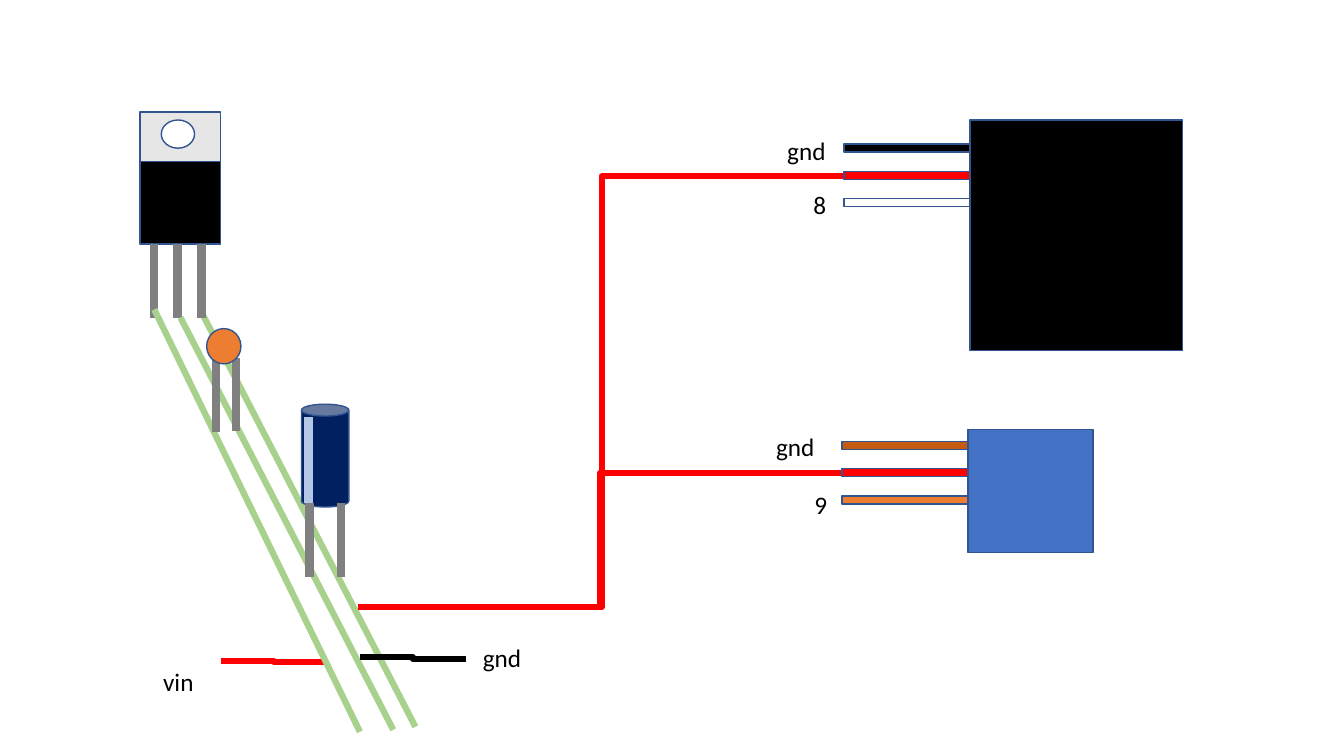
from lxml.etree import SubElement
from pptx import Presentation
from pptx.dml.color import RGBColor
from pptx.enum.shapes import MSO_CONNECTOR as Connector, MSO_SHAPE as Preset
from pptx.enum.text import MSO_AUTO_SIZE as AutoSize
from pptx.oxml.ns import qn
from pptx.util import Inches, Pt

BLACK = RGBColor(0x00, 0x00, 0x00)
WHITE = RGBColor(0xFF, 0xFF, 0xFF)
RED = RGBColor(0xFF, 0x00, 0x00)
ORANGE = RGBColor(0xED, 0x7D, 0x31)
BROWN = RGBColor(0xC5, 0x5A, 0x11)
BLUE = RGBColor(0x44, 0x72, 0xC4)
NAVY = RGBColor(0x00, 0x20, 0x60)
PALE_BLUE = RGBColor(0xB4, 0xC7, 0xE7)
OUTLINE = RGBColor(0x32, 0x54, 0x91)
METAL = RGBColor(0xE7, 0xE6, 0xE6)
GRAY = RGBColor(0x80, 0x80, 0x80)
GREEN = RGBColor(0xA9, 0xD1, 0x8E)

LEAD_LENGTH = 0.73
PIN_WIDTH, PIN_HEIGHT = 1.25, 0.08


class CircuitSlide:
    font_format = {"name": "Calibri", "size": Pt(18)}
    frame_format = {"word_wrap": True, "auto_size": AutoSize.SHAPE_TO_FIT_TEXT}
    wire_width = Pt(4.5)
    lead_width = Pt(6)
    outline_width = Pt(1)

    def __init__(self, presentation):
        self.slide = presentation.slides.add_slide(presentation.slide_layouts[6])
        self.shapes = self.slide.shapes

    def start_group(self):
        self.shapes = self.slide.shapes.add_group_shape().shapes

    def end_group(self):
        self.shapes = self.slide.shapes

    def apply(self, target, values):
        for name, value in values.items():
            setattr(target, name, value)

    def body(self, preset, left, top, width, height, color):
        shape = self.shapes.add_shape(
            preset, Inches(left), Inches(top), Inches(width), Inches(height))
        shape.shadow.inherit = False
        shape.fill.solid()
        shape.fill.fore_color.rgb = color
        shape.line.color.rgb = OUTLINE
        shape.line.width = self.outline_width

    def wire(self, start, end, color, kind=Connector.STRAIGHT, width=wire_width):
        connector = self.shapes.add_connector(
            kind, *(Inches(value) for value in (*start, *end)))
        connector.line.color.rgb = color
        connector.line.width = width
        SubElement(connector._element.spPr, qn("a:effectLst"))

    def elbow(self, start, end, color):
        self.wire(start, end, color, Connector.ELBOW)

    def lead(self, left, top, length=LEAD_LENGTH, color=GRAY):
        self.wire((left, top), (left, top + length), color, width=self.lead_width)

    def module(self, left, top, width, height, color, first_pin, pin_colors):
        self.start_group()
        self.body(Preset.RECTANGLE, left, top, width, height, color)
        for index, pin_color in enumerate(pin_colors):
            self.body(Preset.RECTANGLE, left - PIN_WIDTH, first_pin + 0.27 * index,
                      PIN_WIDTH, PIN_HEIGHT, pin_color)
        self.end_group()

    def label(self, text, left, top):
        box = self.shapes.add_textbox(
            Inches(left), Inches(top), Inches(0.66), Inches(0.4))
        self.apply(box.text_frame, self.frame_format)
        paragraph = box.text_frame.paragraphs[0]
        run = paragraph.add_run()
        run.text = text
        self.apply(run.font, self.font_format)
        run.font.color.rgb = BLACK


presentation = Presentation()
presentation.slide_width, presentation.slide_height = Inches(13.33), Inches(7.5)
circuit = CircuitSlide(presentation)

circuit.wire((2.01, 3.12), (4.12, 7.21), GREEN)

circuit.start_group()
circuit.body(Preset.RECTANGLE, 1.39, 1.6, 0.8, 0.82, BLACK)
circuit.body(Preset.RECTANGLE, 1.39, 1.11, 0.8, 0.49, METAL)
circuit.body(Preset.OVAL, 1.6, 1.19, 0.33, 0.28, WHITE)
for left in (2, 1.76, 1.53):
    circuit.lead(left, 2.42)
circuit.end_group()

circuit.elbow((3.57, 6.02), (8.37, 1.75), RED)
circuit.elbow((8.35, 4.69), (3.55, 6.02), RED)

circuit.module(9.62, 1.19, 2.11, 2.29, BLACK, 1.43, (BLACK, RED, WHITE))
circuit.module(9.6, 4.26, 1.24, 1.22, BLUE, 4.38, (BROWN, RED, ORANGE))

circuit.elbow((2.19, 6.56), (3.24, 6.57), RED)
for text, left, top in (
        ("9", 7.98, 4.81), ("8", 7.97, 1.83), ("gnd", 7.71, 1.29),
        ("gnd", 7.6, 4.23), ("vin", 1.52, 6.56), ("gnd", 4.69, 6.32)):
    circuit.label(text, left, top)

circuit.wire((1.53, 3.07), (3.57, 7.26), GREEN)
circuit.wire((1.79, 3.15), (3.9, 7.24), GREEN)

circuit.start_group()
circuit.lead(2.14, 3.56)
circuit.lead(2.34, 3.55)
circuit.body(Preset.OVAL, 2.05, 3.26, 0.34, 0.35, ORANGE)
circuit.end_group()

circuit.start_group()
circuit.body(Preset.CAN, 2.99, 4.01, 0.47, 1.02, NAVY)
for left in (3.07, 3.38):
    circuit.lead(left, 4.99)
circuit.lead(3.06, 4.14, 0.85, PALE_BLUE)
circuit.end_group()

circuit.elbow((3.57, 6.52), (4.62, 6.54), BLACK)

presentation.save("out.pptx")
